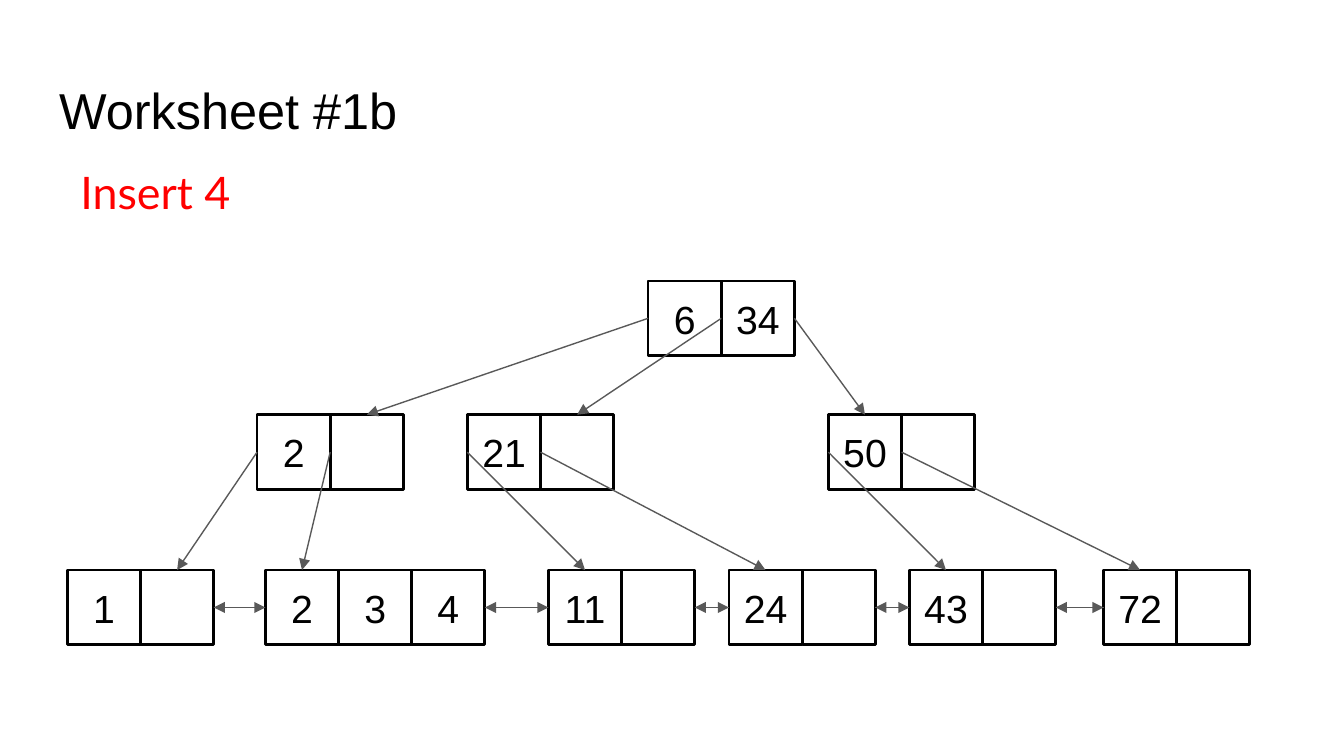
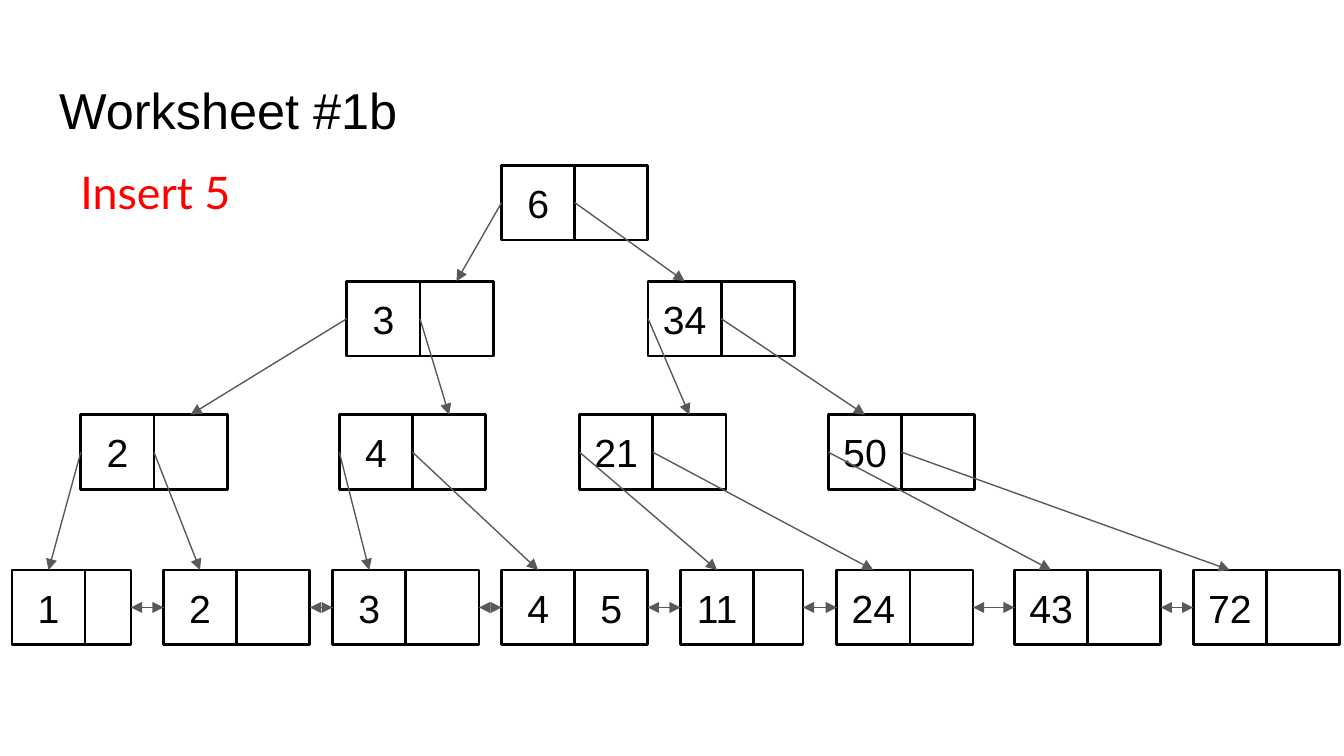
from lxml import etree
from pptx import Presentation
from pptx.dml.color import RGBColor
from pptx.enum import shapes, text
from pptx.oxml.ns import qn
from pptx.util import Pt

BLACK, RED, GREY = "000000", "FF0000", "595959"
CELL_WIDTH, CELL_HEIGHT = 39.2, 40.1
INSET = 7.2

# (left, keys, cell the parent's arrow points at, width of the last cell)
FULL = CELL_WIDTH
WORKSHEETS = [
    ("Insert 4", [
        (150.5, [(347.2, ["6", "34"], 0, FULL)]),
        (222.2, [(137.7, ["2", ""], 1, FULL), (250.4, ["21", ""], 1, FULL),
                 (443.8, ["50", ""], 0, FULL)]),
        (305.4, [(36.1, ["1", ""], 1, FULL), (142.2, ["2", "3", "4"], 0, FULL),
                 (293.8, ["11", ""], 0, FULL), (390.5, ["24", ""], 0, FULL),
                 (487.2, ["43", ""], 0, FULL), (591.2, ["72", ""], 0, FULL)]),
    ]),
    ("Insert 5", [
        (88.5, [(268.7, ["6", ""], 0, FULL)]),
        (150.7, [(185.8, ["3", ""], 1, FULL), (347.2, ["34", ""], 0, FULL)]),
        (222.2, [(43.3, ["2", ""], 1, FULL), (181.8, ["4", ""], 1, FULL),
                 (310.5, ["21", ""], 1, FULL), (443.8, ["50", ""], 0, FULL)]),
        (305.4, [(6.4, ["1", ""], 0, 24.6), (87.6, ["2", ""], 0, FULL),
                 (178.2, ["3", ""], 0, FULL), (268.7, ["4", "5"], 0, FULL),
                 (364.6, ["11", ""], 0, 26.4), (448.3, ["24", ""], 0, 33.8),
                 (543.5, ["43", ""], 0, FULL), (639.2, ["72", ""], 0, FULL)]),
    ]),
]


def colour(value):
    return RGBColor.from_string(value)


def add_arrow(slide, start, start_side, end, end_side):
    arrow = slide.shapes.add_connector(shapes.MSO_CONNECTOR.STRAIGHT, 0, 0, 0, 0)
    arrow.begin_connect(start, start_side)
    arrow.end_connect(end, end_side)
    arrow.line.color.rgb = colour(GREY)
    arrow.line.width = Pt(0.75)
    etree.SubElement(arrow.line._get_or_add_ln(), qn("a:tailEnd"), type="triangle")
    etree.SubElement(arrow._element.spPr, qn("a:effectLst"))


presentation = Presentation()
presentation.slide_width, presentation.slide_height = Pt(720), Pt(405)

for task, levels in WORKSHEETS:
    slide = presentation.slides.add_slide(presentation.slide_layouts[5])
    title = slide.shapes.title
    title.left, title.top, title.width, title.height = Pt(24.5), Pt(35.3), Pt(671), Pt(45.4)
    title.text_frame.text = "Worksheet #1b"
    instruction = slide.shapes.add_textbox(0, Pt(77), Pt(236), Pt(44))
    instruction.text_frame.text = task

    for shape, font_name, size, value in ((title, "Arial", 27, BLACK),
                                          (instruction, "Lato", 24, RED)):
        frame = shape.text_frame
        frame.word_wrap = True
        frame.auto_size = text.MSO_AUTO_SIZE.NONE
        frame.vertical_anchor = text.MSO_ANCHOR.TOP
        frame.margin_left = frame.margin_right = Pt(INSET)
        frame.margin_top = frame.margin_bottom = Pt(INSET)
        paragraph = frame.paragraphs[0]
        paragraph.alignment = text.PP_ALIGN.LEFT
        font = paragraph.runs[0].font
        font.name, font.size, font.color.rgb = font_name, Pt(size), colour(value)

    paragraph = instruction.text_frame.paragraphs[0]
    paragraph.line_spacing = 1.15
    paragraph.space_after = Pt(16)
    properties = paragraph._p.get_or_add_pPr()
    properties.set("marL", str(Pt(36)))
    properties.set("indent", "0")

    tree = []
    for top, nodes in levels:
        row = []
        for left, keys, entry, last_width in nodes:
            cells = []
            for index, key in enumerate(keys):
                width = last_width if index == len(keys) - 1 else CELL_WIDTH
                cell = slide.shapes.add_shape(
                    shapes.MSO_SHAPE.RECTANGLE, Pt(left + index * CELL_WIDTH), Pt(top),
                    Pt(width), Pt(CELL_HEIGHT))
                cell.shadow.inherit = False
                cell.fill.background()
                cell.line.color.rgb = colour(BLACK)
                cell.line.width = Pt(1.5)
                cells.append(cell)
                if key:
                    frame = cell.text_frame
                    frame.text = key
                    frame.word_wrap = False
                    frame.vertical_anchor = text.MSO_ANCHOR.MIDDLE
                    paragraph = frame.paragraphs[0]
                    paragraph.alignment = text.PP_ALIGN.CENTER
                    font = paragraph.runs[0].font
                    font.name, font.size, font.color.rgb = "Arial", Pt(21), colour(BLACK)
            row.append((cells, sum(map(bool, keys)), cells[entry]))
        tree.append(row)

    for parents, children in zip(tree, tree[1:]):
        targets = iter(children)
        for cells, key_count, entry_cell in parents:
            for pointer in range(key_count + 1):
                target = next(targets)[2]
                if pointer < len(cells):
                    add_arrow(slide, cells[pointer], 1, target, 0)
                else:
                    add_arrow(slide, cells[-1], 3, target, 0)

    leaves = tree[-1]
    for leaf, neighbour in zip(leaves, leaves[1:]):
        add_arrow(slide, leaf[0][-1], 3, neighbour[0][0], 1)
        add_arrow(slide, neighbour[0][0], 1, leaf[0][-1], 3)

presentation.save("out.pptx")
